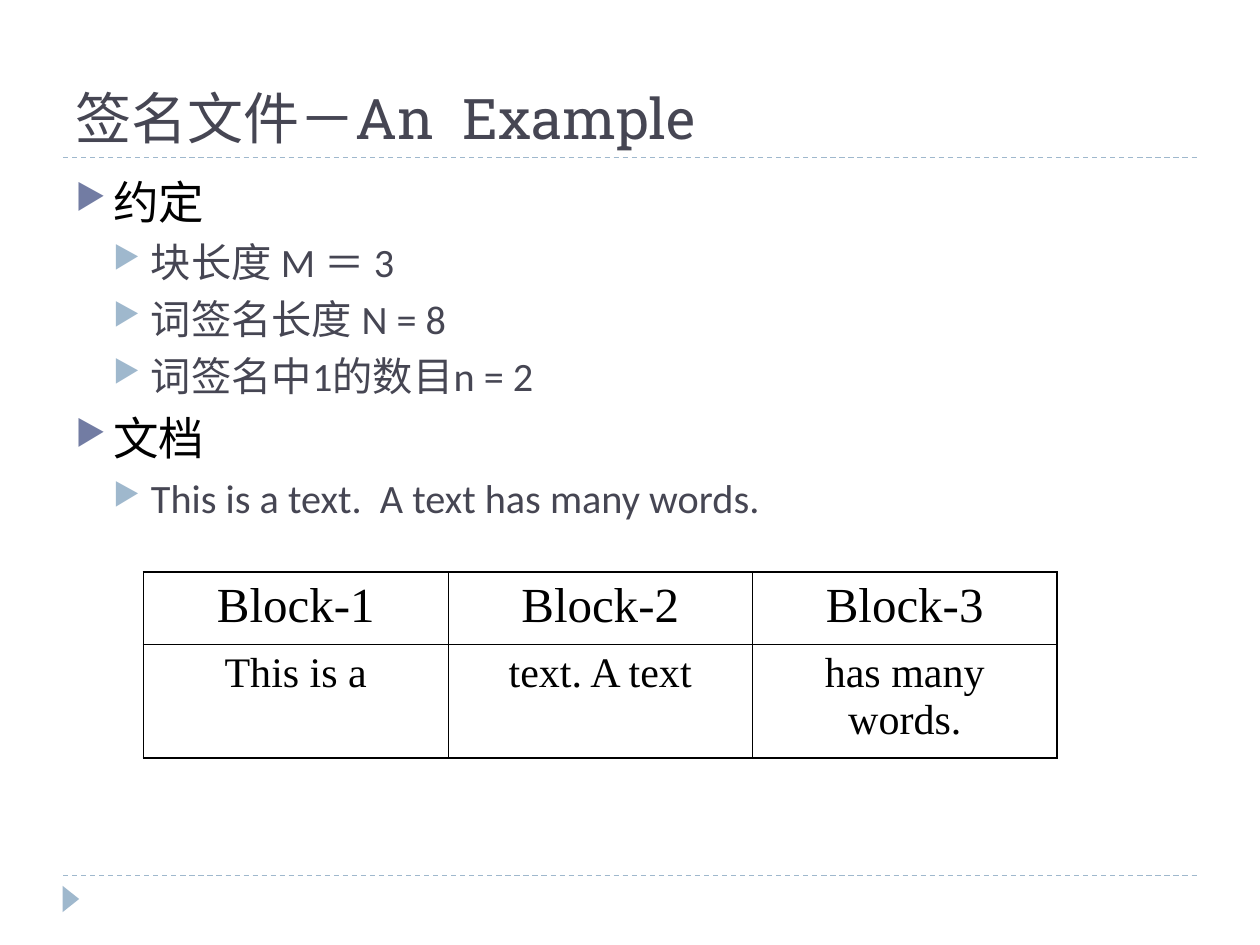
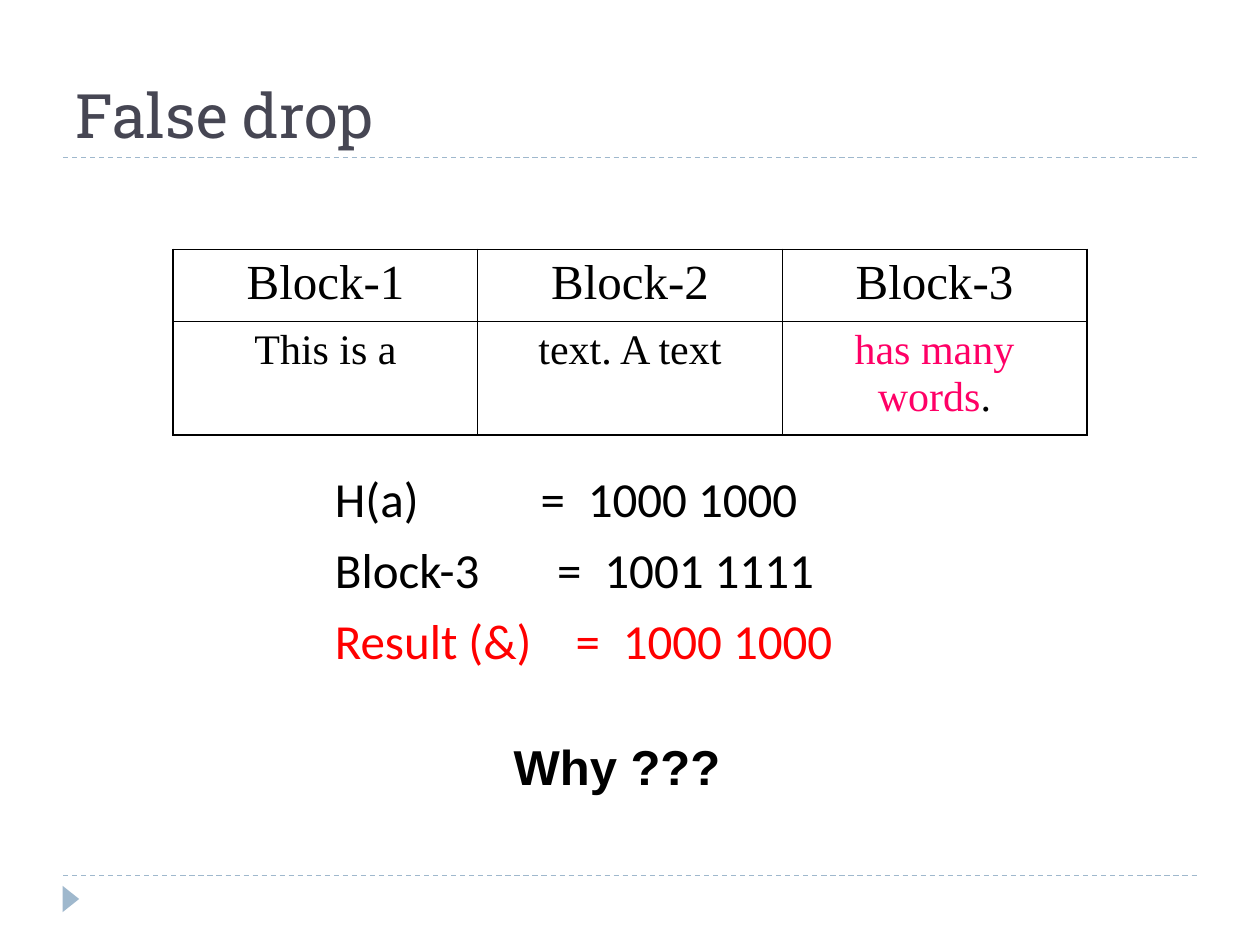
"""Builds two slides on signature files and false drops."""
from dataclasses import dataclass
from lxml import etree
from pptx import Presentation
from pptx.dml.color import RGBColor
from pptx.enum.dml import MSO_LINE
from pptx.enum.shapes import MSO_CONNECTOR, MSO_SHAPE
from pptx.enum.text import MSO_ANCHOR, MSO_AUTO_SIZE, PP_ALIGN
from pptx.oxml.ns import qn
from pptx.util import Pt

LEFT, CENTER = PP_ALIGN.LEFT, PP_ALIGN.CENTER
BOTTOM = MSO_ANCHOR.BOTTOM
FIXED, GROW = MSO_AUTO_SIZE.NONE, MSO_AUTO_SIZE.SHAPE_TO_FIT_TEXT
DASH = MSO_LINE.DASH
STRAIGHT, ARROW = MSO_CONNECTOR.STRAIGHT, MSO_SHAPE.ISOSCELES_TRIANGLE
TITLE_ONLY = 5


@dataclass(frozen=True)
class Theme:
    ink: str = "000000"
    slate: str = "464653"
    violet: str = "727CA3"
    sky: str = "9FB8CD"
    red: str = "FF0000"
    pink: str = "FF0066"
    head: str = "Roboto Slab"
    body: str = "Calibri"
    serif: str = "Times New Roman"
    sans: str = "Arial"
    top: int = 26
    sub: int = 23
    big: int = 28
    cell: int = 24
    thick: float = 1.08
    thin: float = 0.45


LOOK = Theme()
LEVELS = [
    {"size": LOOK.top, "color": LOOK.ink, "mark": LOOK.violet, "gap": 6},
    {"size": LOOK.sub, "color": LOOK.slate, "mark": LOOK.sky, "gap": 5},
]


def assign(item, **values):
    """Set each named attribute on an item."""
    for name, value in values.items():
        setattr(item, name, value)


def child(parent, tag, **values):
    """Append a drawing element to its parent."""
    return etree.SubElement(parent, qn(tag), values)


class Deck:
    """Holds the style and the current slide."""

    def __init__(self, look):
        """Start an empty deck."""
        self.look = look
        self.deck = Presentation()
        assign(self.deck, slide_width=Pt(720), slide_height=Pt(540))

    def page(self, text, size):
        """Add a slide with its title, rules and corner mark."""
        self.slide = self.deck.slides.add_slide(self.deck.slide_layouts[TITLE_ONLY])
        for y in (500.4, 90):
            self.rule(y)
        self.mark()
        title = self.slide.shapes.title
        assign(title, left=Pt(36), top=Pt(12), width=Pt(648), height=Pt(78))
        frame = title.text_frame
        assign(frame, vertical_anchor=BOTTOM, auto_size=FIXED, word_wrap=True)
        para = frame.paragraphs[0]
        para.alignment = LEFT
        self.run(para, text, size, self.look.head, self.look.slate)

    def rule(self, y):
        """Draw a dashed line across the slide."""
        line = self.slide.shapes.add_connector(STRAIGHT, Pt(36), Pt(y), Pt(684), Pt(y))
        line.line.color.rgb = RGBColor.from_string(self.look.sky)
        assign(line.line, width=Pt(0.75), dash_style=DASH)
        child(line._element.spPr, "a:effectLst")

    def mark(self):
        """Draw the small arrow in the corner."""
        shape = self.slide.shapes.add_shape(ARROW, Pt(33), Pt(509), Pt(15), Pt(9.4))
        shape.rotation = 90
        shape.shadow.inherit = False
        shape.fill.solid()
        shape.fill.fore_color.rgb = RGBColor.from_string(self.look.sky)
        shape.line.fill.background()

    def run(self, para, text, size, font, color, bold=False):
        """Add one formatted run."""
        run = para.add_run()
        run.text = text
        assign(run.font, size=Pt(size), name=font, bold=bold)
        run.font.color.rgb = RGBColor.from_string(color)

    def box(self, x, y, w, h, wrap=True, fit=FIXED):
        """Add a text box and return its frame."""
        frame = self.slide.shapes.add_textbox(Pt(x), Pt(y), Pt(w), Pt(h)).text_frame
        assign(frame, word_wrap=wrap, auto_size=fit)
        return frame

    def lines(self, frame, count, gaps):
        """Yield spaced paragraphs of a frame."""
        for i in range(count):
            para = frame.add_paragraph() if i else frame.paragraphs[0]
            para.space_before = Pt(gaps[i] if i else 0)
            yield para

    def list(self, items, x, y, w, h):
        """Add a list of two bullet levels."""
        styles = [LEVELS[level] for level, _ in items]
        paras = self.lines(self.box(x, y, w, h), len(items), [s["gap"] for s in styles])
        for para, (level, text), style in zip(paras, items, styles):
            para.level = level
            props = para._p.get_or_add_pPr()
            props.set("marL", str(Pt(21.6 * (level + 1))))
            props.set("indent", str(Pt(-21.6)))
            child(child(props, "a:buClr"), "a:srgbClr", val=style["mark"])
            child(props, "a:buSzPct", val="76000")
            child(props, "a:buChar", char="▶")
            self.run(para, text, style["size"], self.look.body, style["color"])

    def sums(self, rows, x, y, w, h):
        """Add tabbed equations, one a line."""
        paras = self.lines(self.box(x, y, w, h), len(rows), [7] * len(rows))
        for para, (name, bits, stop, color) in zip(paras, rows):
            tabs = child(para._p.get_or_add_pPr(), "a:tabLst")
            for pos in (stop, stop + 27):
                child(tabs, "a:tab", pos=str(Pt(pos)), algn="l")
            self.run(para, f"{name}\t=\t{bits}", self.look.big, self.look.body, color)

    def note(self, text, x, y, w, h):
        """Add one bold line."""
        para = self.box(x, y, w, h, False, GROW).paragraphs[0]
        self.run(para, text, self.look.big, self.look.sans, self.look.ink, True)

    def grid(self, rows, x, y):
        """Add a ruled table whose cells are lists of runs."""
        last, end = len(rows) - 1, len(rows[0]) - 1
        table = self.slide.shapes.add_table(
            last + 1, end + 1, Pt(x), Pt(y), Pt(522), Pt(106)).table
        assign(table, first_row=False, horz_banding=False)
        for col in table.columns:
            col.width = Pt(174)
        sizes = (self.look.big, self.look.cell)
        for r, (row, high, size) in enumerate(zip(rows, (41, 65), sizes)):
            table.rows[r].height = Pt(high)
            for c, runs in enumerate(row):
                cell = table.cell(r, c)
                cell.fill.background()
                para = cell.text_frame.paragraphs[0]
                para.alignment = CENTER
                for text, color in runs:
                    self.run(para, text, size, self.look.serif, color)
                self.edge(cell, {"L": c == 0, "R": c == end, "T": r == 0, "B": r == last})

    def edge(self, cell, sides):
        """Rule a cell, thick on the outer sides."""
        props = cell._tc.get_or_add_tcPr()
        for i, (side, outer) in enumerate(sides.items()):
            width = self.look.thick if outer else self.look.thin
            line = child(props, f"a:ln{side}", w=str(Pt(width)))
            child(child(line, "a:solidFill"), "a:srgbClr", val=self.look.ink)
            props.insert(i, line)


def blocks(tail):
    """Give the block table with the given last cell."""
    names = [[(f"Block-{n}", LOOK.ink)] for n in (1, 2, 3)]
    words = [[(text, LOOK.ink)] for text in ("This is a", "text. A text")]
    return [names, words + [tail]]


def main():
    """Build and save the deck."""
    deck = Deck(LOOK)

    deck.page("签名文件－An  Example", 32)
    deck.list([
        (0, "约定"),
        (1, "块长度 M ＝ 3"),
        (1, "词签名长度 N = 8"),
        (1, "词签名中1的数目n = 2"),
        (0, "文档"),
        (1, "This is a text.  A text has many words."),
    ], 36, 96, 648, 389)
    deck.grid(blocks([("has many words.", LOOK.ink)]), 82, 327)

    deck.page("False drop", 35)
    deck.sums([
        ("H(a)", "1000 1000", 117.5, LOOK.ink),
        ("Block-3", "1001 1111", 127, LOOK.ink),
        ("Result (&)", "1000 1000", 137.5, LOOK.red),
    ], 184.3, 264, 414, 138)
    deck.grid(blocks([("has many words", LOOK.pink), (".", LOOK.ink)]), 99, 142.5)
    deck.note("Why ???", 286.5, 417.6, 132.5, 41)

    deck.deck.save("out.pptx")


if __name__ == "__main__":
    main()
